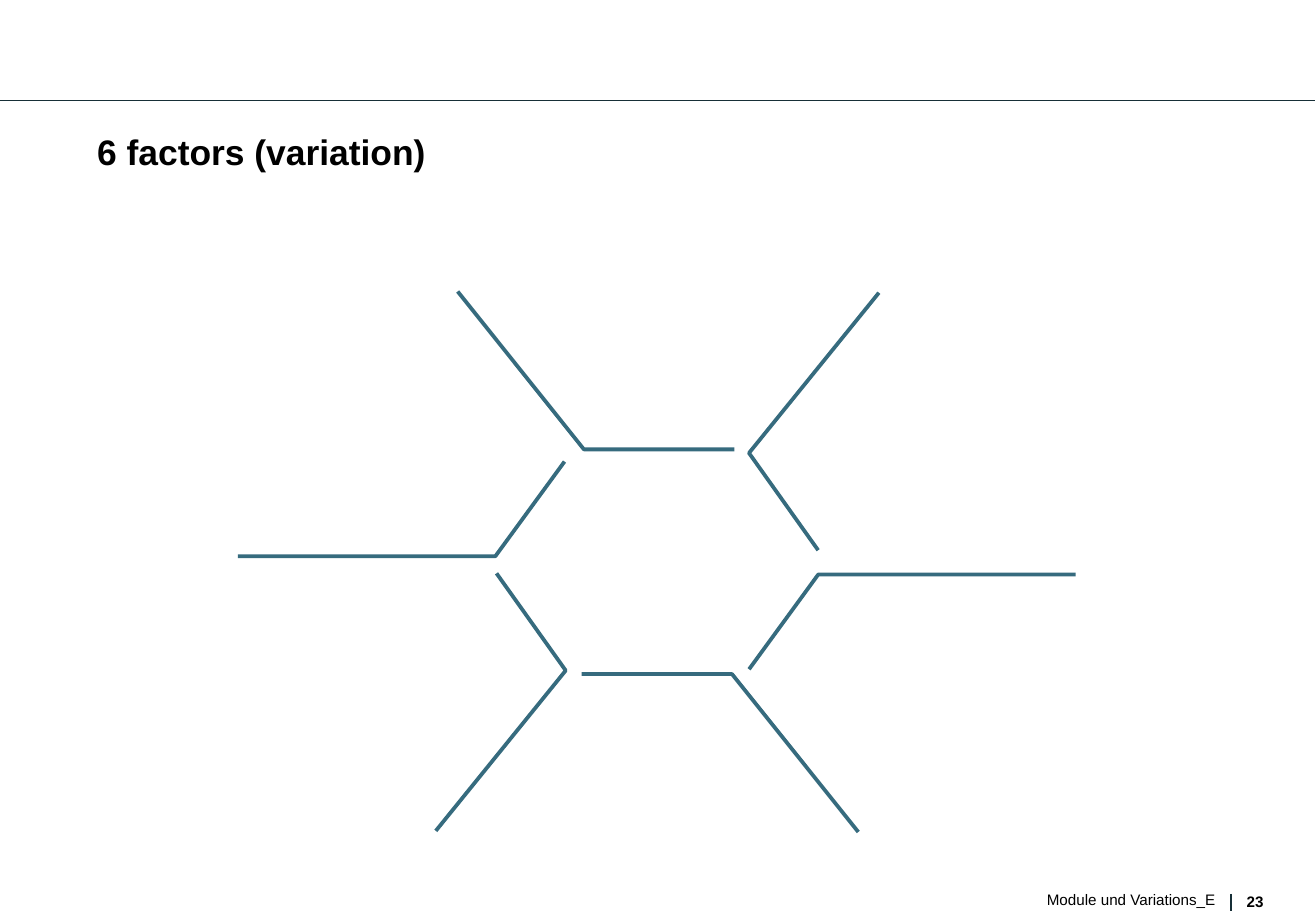
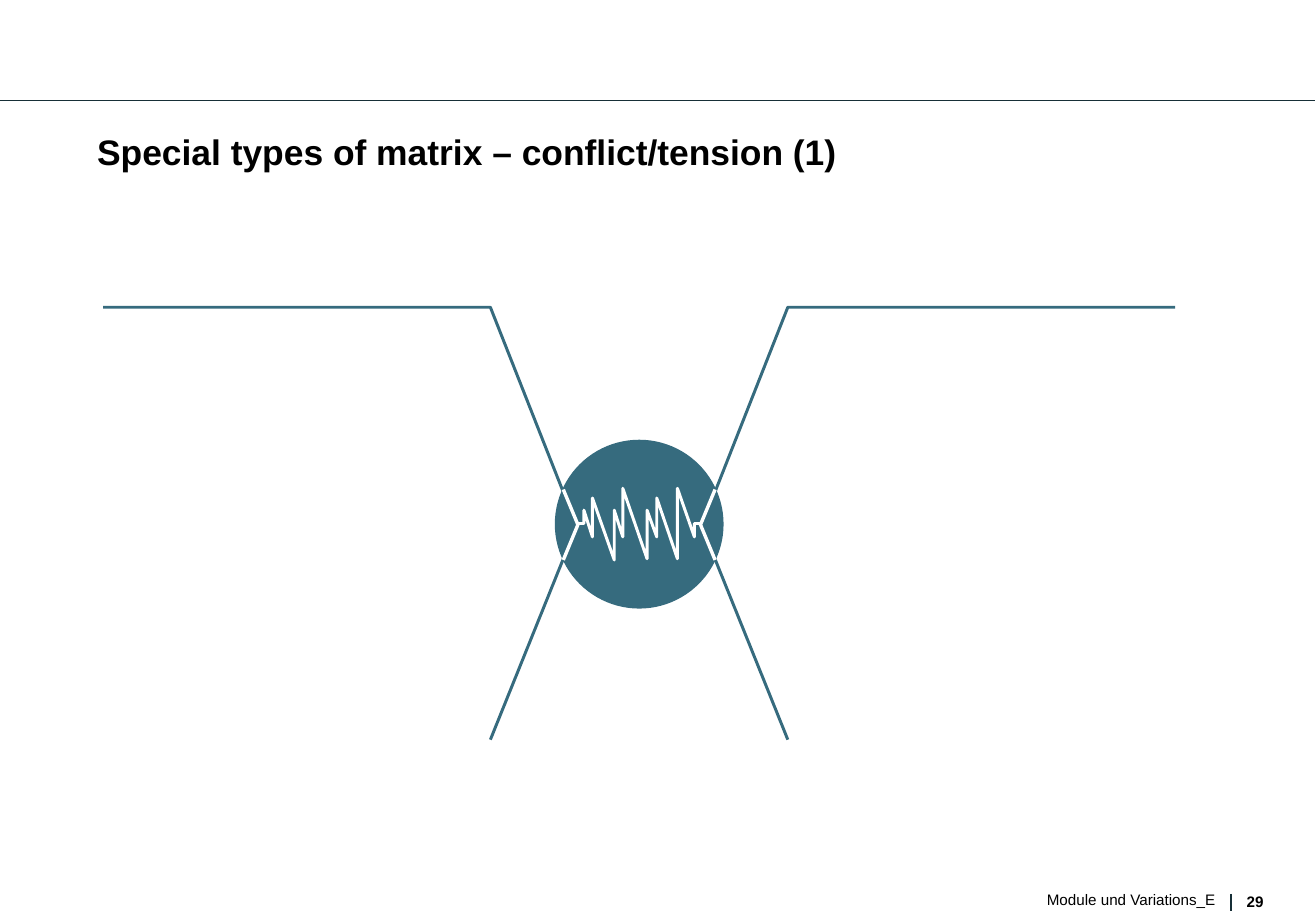
from lxml import etree
from pptx import Presentation
from pptx import util as u
from pptx.dml.color import RGBColor
from pptx.enum import shapes, text
from pptx.oxml.ns import qn

# Content
FOOTER = "Module und Variations_E"
FACTORS = {"title": "6 factors (variation)", "number": "23"}
CONFLICT = {"title": "Special types of matrix – conflict/tension (1)", "number": "29"}

# Lengths in px, 100 to the inch
PX = 9144
SLIDE_W, SLIDE_H = 1084, 750
TEAL, RULE, BLACK, WHITE = "366B7E", "172F37", "000000", "FFFFFF"

TITLE = {"size": u.Pt(21), "bold": True}
FOOT = {"size": u.Pt(9), "bold": False}
NUMBER = {"size": u.Pt(9), "bold": True}

# Three arms; each is paired with its half turn, given by the sum of both points
ARMS = [
    ([(377, 240), (481, 370), (605, 370)], (1084, 925)),
    ([(196, 458), (408, 458), (465, 380)], (1082, 931)),
    ([(724, 241), (617, 373), (674, 453)], (1083, 925)),
]

# Left side of the conflict; the right side is its mirror image
MIRROR_SUM = 1053
SIDE = [(85, 253), (404, 253), (475, 433), (404, 609)]
CONTACT = [(464, 403), (476, 432), (464, 461)]
CORE = (457, 362, 139, 139)
TENSION = [
    (475, 431), (481, 431), (481, 420), (488, 442), (488, 410), (506, 461),
    (506, 420), (513, 442), (513, 402), (533, 460), (533, 420), (541, 442),
    (541, 410), (558, 460), (558, 402), (572, 442), (572, 431), (577, 431),
]


def px(*values):
    return [u.Emu(v * PX) for v in values]


def color(hex_code):
    return RGBColor.from_string(hex_code)


def add_text(slide, box, words, style, align=text.PP_ALIGN.LEFT, spacing=None, wrap=True):
    frame = slide.shapes.add_textbox(*px(*box)).text_frame
    for side in ("left", "top", "right", "bottom"):
        setattr(frame, f"margin_{side}", 0)
    frame.word_wrap = wrap
    paragraph = frame.paragraphs[0]
    paragraph.alignment = align
    paragraph.line_spacing = spacing
    run = paragraph.add_run()
    run.text = words
    run.font.name = "Arial"
    run.font.color.rgb = color(BLACK)
    for name, value in style.items():
        setattr(run.font, name, value)


def add_rule(slide, *ends):
    rule = slide.shapes.add_connector(shapes.MSO_CONNECTOR.STRAIGHT, *px(*ends))
    rule.line.color.rgb = color(RULE)
    rule.line.width = u.Pt(0.75)
    etree.SubElement(rule._element.spPr, qn("a:effectLst"))


def add_path(slide, points, hex_code, width):
    builder = slide.shapes.build_freeform(*points[0], scale=PX)
    builder.add_line_segments(points[1:], close=False)
    outline = builder.convert_to_shape()
    outline.shadow.inherit = False
    outline.fill.background()
    outline.line.color.rgb = color(hex_code)
    outline.line.width = u.Pt(width)
    etree.SubElement(outline.line._get_or_add_ln(), qn("a:round"))


def half_turn(points, total):
    return [(total[0] - x, total[1] - y) for x, y in points]


def mirror(points):
    return [(MIRROR_SUM - x, y) for x, y in points]


def new_slide(deck, title, number):
    """Blank slide with header rule, footer and title."""
    slide = deck.slides.add_slide(deck.slide_layouts[6])
    add_rule(slide, 0, 83, 1083, 83)
    add_rule(slide, 1014, 736, 1014, 750)
    add_text(slide, (1027, 735, 17, 14), number, NUMBER, wrap=False)
    add_text(slide, (622, 733, 379, 15), FOOTER, FOOT, text.PP_ALIGN.RIGHT, u.Pt(11))
    add_text(slide, (80, 110, 936, 72), title, TITLE, spacing=0.93)
    return slide


def build_factors(deck):
    slide = new_slide(deck, **FACTORS)
    for arm, total in ARMS:
        for points in (arm, half_turn(arm, total)):
            add_path(slide, points, TEAL, 2.25)


def build_conflict(deck):
    slide = new_slide(deck, **CONFLICT)
    core = slide.shapes.add_shape(shapes.MSO_SHAPE.OVAL, *px(*CORE))
    core.shadow.inherit = False
    core.fill.solid()
    core.fill.fore_color.rgb = color(TEAL)
    core.line.fill.background()
    add_path(slide, TENSION, WHITE, 1.75)
    for half, hex_code, width in ((SIDE, TEAL, 1.75), (CONTACT, WHITE, 2)):
        for points in (half, mirror(half)):
            add_path(slide, points, hex_code, width)


def main():
    deck = Presentation()
    deck.slide_width, deck.slide_height = px(SLIDE_W, SLIDE_H)
    build_factors(deck)
    build_conflict(deck)
    deck.save("out.pptx")


if __name__ == "__main__":
    main()
